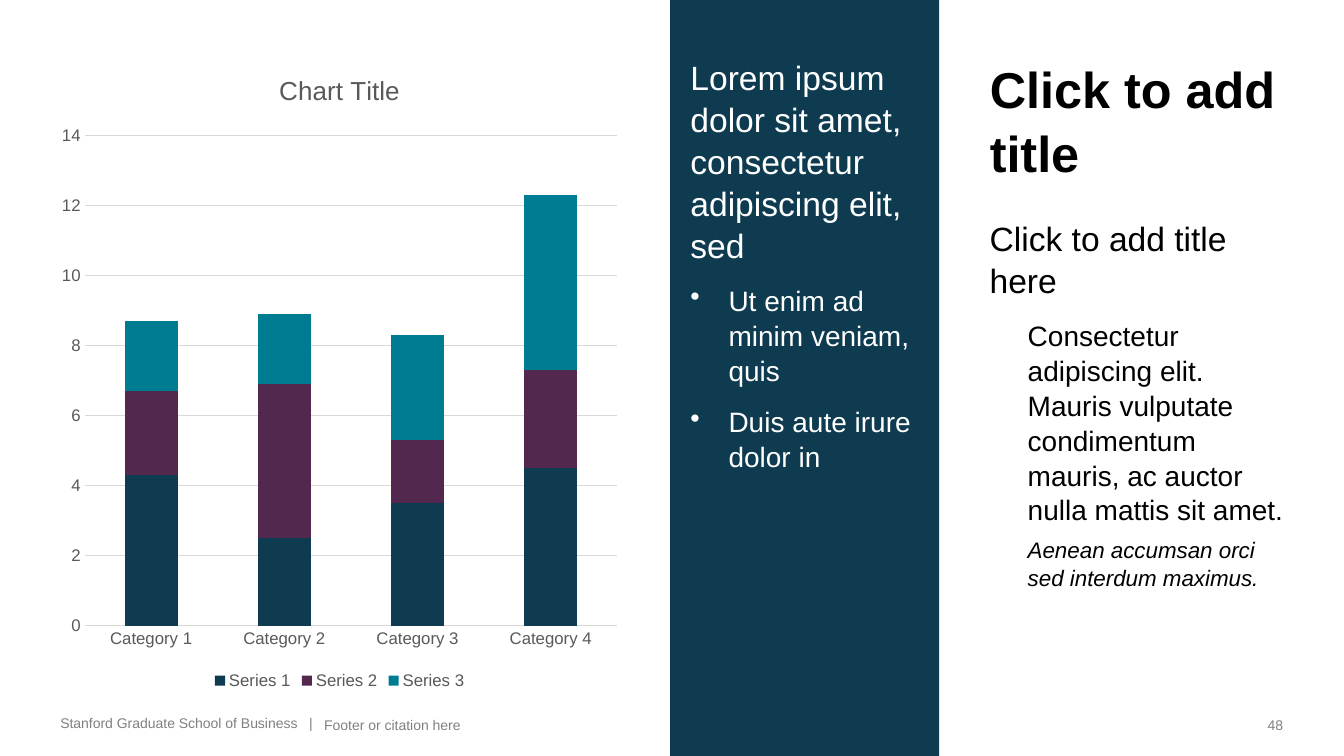
"""Build a slide with a stacked column chart, a text panel and a titled column."""
from dataclasses import dataclass

from lxml import etree
from pptx import Presentation
from pptx.chart.data import CategoryChartData
from pptx.dml.color import RGBColor
from pptx.enum.chart import XL_CHART_TYPE, XL_LEGEND_POSITION, XL_TICK_MARK
from pptx.enum.shapes import MSO_SHAPE
from pptx.enum.text import MSO_ANCHOR, MSO_AUTO_SIZE, PP_ALIGN
from pptx.oxml.ns import qn
from pptx.util import Cm, Pt

STACKED = XL_CHART_TYPE.COLUMN_STACKED
BOTTOM = XL_LEGEND_POSITION.BOTTOM
NO_TICK = XL_TICK_MARK.NONE
RECT = MSO_SHAPE.RECTANGLE
TOP, BASE = MSO_ANCHOR.TOP, MSO_ANCHOR.BOTTOM
FIXED = MSO_AUTO_SIZE.NONE
LEFT, RIGHT = PP_ALIGN.LEFT, PP_ALIGN.RIGHT

NAVY = RGBColor(0x0E, 0x3B, 0x50)
PLUM = RGBColor(0x53, 0x28, 0x4F)
TEAL = RGBColor(0x00, 0x7C, 0x92)
WHITE = RGBColor(0xFF, 0xFF, 0xFF)
BLACK = RGBColor(0x00, 0x00, 0x00)
GRAY = RGBColor(0x80, 0x80, 0x80)
DARK = RGBColor(0x59, 0x59, 0x59)
PALE = RGBColor(0xD9, 0xD9, 0xD9)
FACE = "Arial"
INDENT = Cm(0.96)


@dataclass
class Box:
    left: float
    top: float
    width: float
    height: float

    def cm(self) -> tuple:
        return Cm(self.left), Cm(self.top), Cm(self.width), Cm(self.height)


@dataclass
class Para:
    text: str
    size: float
    color: RGBColor = BLACK
    level: int = 0
    before: float = 0
    bullet: bool = False
    bold: bool = False
    italic: bool = False
    align: PP_ALIGN = LEFT
    pitch: float = 1.0
    tab: float = 0


@dataclass
class Series:
    name: str
    values: tuple
    color: RGBColor


CHART = Box(1.27, 1.27, 14.58, 16.21)
PANEL = Box(16.89, 0, 6.78, 19.05)
TITLE = Box(24.69, 1.27, 7.92, 3.33)
BODY = Box(24.69, 5.33, 7.92, 12.14)

HEAD = Para("Click to add title", 36, bold=True, pitch=1.05)
POINTS = [
    Para("Lorem ipsum dolor sit amet, consectetur adipiscing elit, sed",
         24, WHITE, pitch=1.04),
    Para("Ut enim ad minim veniam, quis", 20, WHITE, 1, 12, True, pitch=1.04),
    Para("Duis aute irure dolor in", 20, WHITE, 1, 12, True, pitch=1.04),
]
COPY = [
    Para("Click to add title here", 24, pitch=1.04),
    Para("Consectetur adipiscing elit. Mauris vulputate condimentum mauris, "
         "ac auctor nulla mattis sit amet.", 20, level=1, before=12, pitch=1.04),
    Para("Aenean accumsan orci sed interdum maximus.", 16, level=2, before=6,
         italic=True, pitch=1.04),
]
FOOTER = [
    (Box(1.27, 17.86, 7, 0.69),
     Para("Stanford Graduate School of Business\t|", 10, GRAY, tab=6.27)),
    (Box(7.92, 17.86, 23.29, 0.74), Para("Footer or citation here", 10, GRAY)),
    (Box(31.6, 17.86, 0.99, 0.74), Para("48", 10, GRAY, align=RIGHT)),
]
GROUPS = [f"Category {n}" for n in range(1, 5)]
SERIES = [
    Series("Series 1", (4.3, 2.5, 3.5, 4.5), NAVY),
    Series("Series 2", (2.4, 4.4, 1.8, 2.8), PLUM),
    Series("Series 3", (2, 2, 3, 5), TEAL),
]


def style(font, size: float, color: RGBColor) -> None:
    """Set the face, size and colour of a font."""
    font.name = FACE
    font.size = Pt(size)
    font.color.rgb = color


def indent(par, item: Para) -> None:
    """Add the indent, bullet and tab stop of a paragraph."""
    props = par._p.get_or_add_pPr()
    if item.level:
        props.set("marL", str(INDENT))
        props.set("indent", str(-INDENT if item.bullet else 0))
    if item.bullet:
        tint = etree.SubElement(props, qn("a:buClr"))
        etree.SubElement(tint, qn("a:srgbClr"), val=str(item.color))
        etree.SubElement(props, qn("a:buChar"), char="•")
    if item.tab:
        tabs = etree.SubElement(props, qn("a:tabLst"))
        etree.SubElement(tabs, qn("a:tab"), pos=str(Cm(item.tab)), algn="l")


def write(frame, items: list[Para], anchor: MSO_ANCHOR = TOP) -> None:
    """Fill a text frame with paragraphs."""
    frame.word_wrap = True
    frame.auto_size = FIXED
    frame.vertical_anchor = anchor
    for i, item in enumerate(items):
        par = frame.add_paragraph() if i else frame.paragraphs[0]
        par.text = item.text
        indent(par, item)
        par.level = item.level
        par.alignment = item.align
        par.line_spacing = item.pitch
        par.space_before = Pt(item.before)
        style(par.font, item.size, item.color)
        par.font.bold = item.bold
        par.font.italic = item.italic


def draw_chart(slide) -> None:
    """Draw the stacked column chart."""
    data = CategoryChartData()
    data.categories = GROUPS
    for item in SERIES:
        data.add_series(item.name, item.values)
    chart = slide.shapes.add_chart(STACKED, *CHART.cm(), data).chart
    style(chart.font, 12, DARK)
    chart.has_title = True
    head = chart.chart_title.text_frame.paragraphs[0]
    head.text = "Chart Title"
    style(head.font, 18.6, DARK)
    head.font.bold = False
    chart.has_legend = True
    chart.legend.position = BOTTOM
    chart.legend.include_in_layout = False
    plot = chart.plots[0]
    plot.gap_width = 150
    plot.overlap = 100
    plot.vary_by_categories = False
    for series, item in zip(plot.series, SERIES):
        series.format.fill.solid()
        series.format.fill.fore_color.rgb = item.color
    cats, vals = chart.category_axis, chart.value_axis
    for axis in (cats, vals):
        axis.major_tick_mark = axis.minor_tick_mark = NO_TICK
        style(axis.tick_labels.font, 12, DARK)
    vals.minimum_scale, vals.maximum_scale, vals.major_unit = 0, 14, 2
    vals.format.line.fill.background()
    for line in (cats.format.line, vals.major_gridlines.format.line):
        line.color.rgb = PALE
        line.width = Pt(0.75)


def draw_panel(slide) -> None:
    """Draw the dark panel with its points."""
    panel = slide.shapes.add_shape(RECT, *PANEL.cm())
    panel.shadow.inherit = False
    panel.fill.solid()
    panel.fill.fore_color.rgb = NAVY
    panel.line.fill.background()
    frame = panel.text_frame
    frame.margin_left = frame.margin_right = Cm(0.51)
    frame.margin_top, frame.margin_bottom = Cm(1.4), Cm(1.52)
    write(frame, POINTS)


def main() -> None:
    """Build and save the slide."""
    deck = Presentation()
    deck.slide_width, deck.slide_height = Cm(33.87), Cm(19.05)
    slide = deck.slides.add_slide(deck.slide_layouts[5])
    title = slide.shapes.title
    title.left, title.top, title.width, title.height = TITLE.cm()
    write(title.text_frame, [HEAD])
    draw_panel(slide)
    write(slide.shapes.add_textbox(*BODY.cm()).text_frame, COPY)
    draw_chart(slide)
    for box, item in FOOTER:
        write(slide.shapes.add_textbox(*box.cm()).text_frame, [item], BASE)
    deck.save("out.pptx")


if __name__ == "__main__":
    main()
